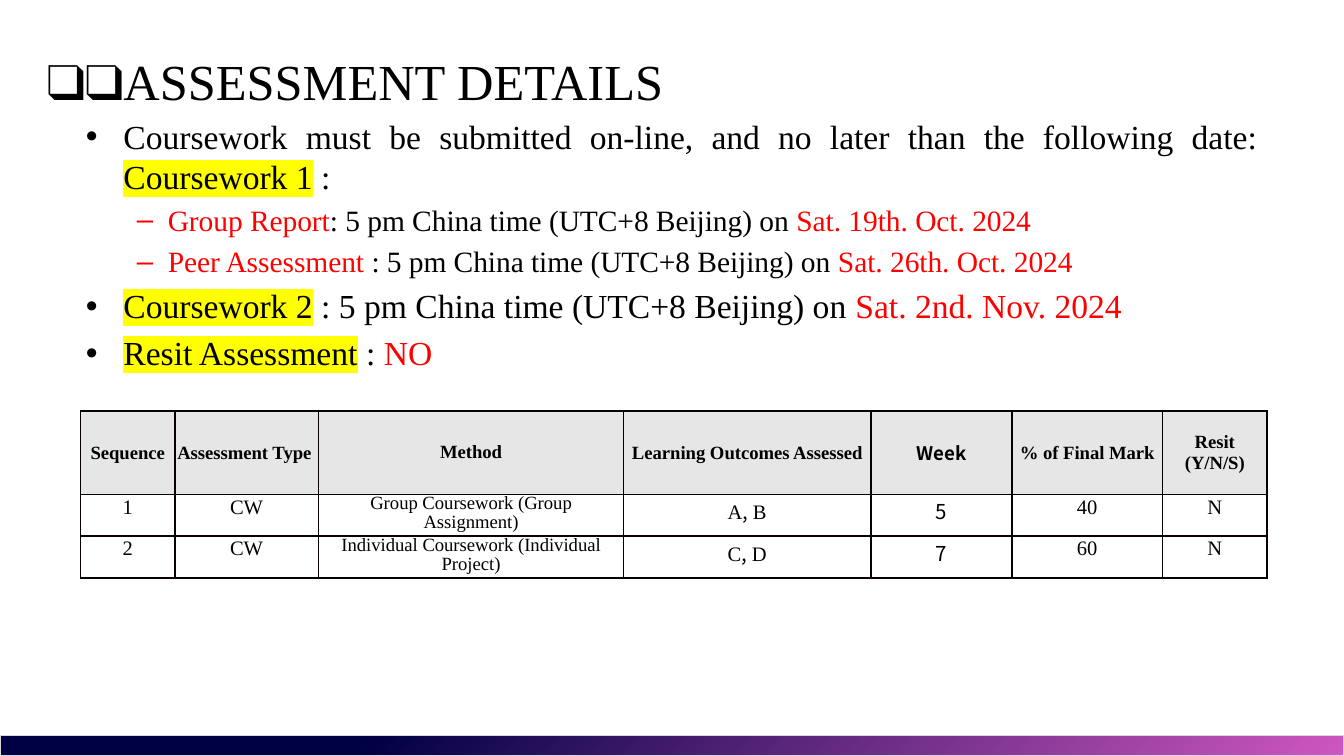
from lxml.etree import SubElement
from pptx import Presentation
from pptx.dml.color import RGBColor
from pptx.enum.shapes import MSO_SHAPE
from pptx.enum.text import MSO_ANCHOR, PP_ALIGN
from pptx.oxml import parse_xml
from pptx.oxml.ns import nsdecls, qn
from pptx.util import Inches, Pt

SERIF = "Times New Roman"
SANS = "Noto Sans CJK SC"
HUES = {
    "ink": "000000",
    "red": "FF0000",
    "mark": "FFFF00",
    "head": "E7E6E6",
    "rule": "080000",
    "navy": "000044",
    "pink": "CE57C1",
    "edge": "D8D8D8",
}
TIME = "5 pm China time (UTC+8 Beijing) on "

# Each point: level, then runs of (text, colour, highlighted)
POINTS = [
    (0, [("Coursework must be submitted on-line, and no later than "
          "the following date: ", "ink", False),
         ("Coursework 1", "ink", True), (" : ", "ink", False)]),
    (1, [("Group Report", "red", False), (": " + TIME, "ink", False),
         ("Sat. 19th. Oct. 2024", "red", False)]),
    (1, [("Peer Assessment", "red", False), (" : " + TIME, "ink", False),
         ("Sat. 26th. Oct. 2024", "red", False)]),
    (0, [("Coursework 2", "ink", True), (" : " + TIME, "ink", False),
         ("Sat. 2nd. Nov. 2024", "red", False)]),
    (0, [("Resit Assessment", "ink", True), (" : ", "ink", False),
         ("NO", "red", False)]),
]
# Level: bullet, left indent, hanging indent, text size, space before
LEVELS = [("•", 0.28, 0.28, 18, 3.6), ("–", 0.61, 0.23, 15.75, 3.2)]

ROWS = [
    ["Sequence", "Assessment Type ", "Method", "Learning Outcomes Assessed",
     "Week", "% of Final Mark", "Resit (Y/N/S)"],
    ["1", "CW", "Group Coursework (Group Assignment)", "A, B", "5", "40", "N"],
    ["2", "CW", "Individual Coursework (Individual Project)", "C, D", "7",
     "60", "N"],
]
WIDTHS = [0.7, 1.07, 2.27, 1.84, 1.05, 1.12, 0.78]
HEIGHTS = [0.62, 0.3, 0.3]
METHOD, GOALS, WEEK = 2, 3, 4


def tint(name):
    return RGBColor.from_string(HUES[name])


def style(run, size, hue="ink", face=SERIF, bold=False):
    font = run.font
    font.size, font.name, font.bold = Pt(size), face, bold
    font.color.rgb = tint(hue)


def mark(run):
    """Highlight a run whose colour is already set."""
    light = parse_xml(f'<a:highlight {nsdecls("a")}>'
                      f'<a:srgbClr val="{HUES["mark"]}"/></a:highlight>')
    run.font._element.find(qn("a:solidFill")).addnext(light)


def add_bar(slide):
    bar = slide.shapes.add_shape(MSO_SHAPE.RECTANGLE, Inches(0), Inches(5.47),
                                 Inches(10), Inches(0.15))
    bar.rotation = 180
    bar.shadow.inherit = False
    bar.fill.gradient()
    bar.fill.gradient_angle = 135
    stops = [(0.27, "navy"), (1, "pink")]
    for stop, (place, hue) in zip(bar.fill.gradient_stops, stops):
        stop.position = place
        stop.color.rgb = tint(hue)
    bar.line.color.rgb = tint("edge")
    bar.line.width = Pt(0.75)


def add_box(slide, *place):
    box = slide.shapes.add_textbox(*map(Inches, place))
    box.text_frame.word_wrap = True
    return box.text_frame


def add_title(slide):
    frame = add_box(slide, 0.25, 0.23, 8.25, 0.74)
    frame.vertical_anchor = MSO_ANCHOR.MIDDLE
    frame.text = "❑❑ASSESSMENT DETAILS"
    style(frame.paragraphs[0].runs[0], 27)


def add_points(slide):
    frame = add_box(slide, 0.54, 0.81, 8.92, 1.92)
    for i, (level, parts) in enumerate(POINTS):
        para = frame.add_paragraph() if i else frame.paragraphs[0]
        sign, left, hang, size, gap = LEVELS[level]
        props = para._p.get_or_add_pPr()
        props.set("marL", str(Inches(left)))
        props.set("indent", str(-Inches(hang)))
        SubElement(props, qn("a:buFont"), typeface="Arial")
        SubElement(props, qn("a:buChar"), char=sign)
        para.level = level
        para.alignment = PP_ALIGN.JUSTIFY
        if i:
            para.space_before = Pt(gap)
        for text, hue, lit in parts:
            run = para.add_run()
            run.text = text
            style(run, size, hue)
            if lit:
                mark(run)


def add_rules(cell):
    """Draw the four borders of a cell."""
    props = cell._tc.get_or_add_tcPr()
    for side in "LRTB":
        rule = SubElement(props, qn(f"a:ln{side}"), w=str(Pt(1)))
        fill = SubElement(rule, qn("a:solidFill"))
        SubElement(fill, qn("a:srgbClr"), val=HUES["rule"])


def fill_cell(cell, text, row, col):
    head = row == 0
    wide = col == METHOD
    add_rules(cell)
    if head:
        cell.fill.solid()
        cell.fill.fore_color.rgb = tint("head")
    else:
        cell.fill.background()
    cell.vertical_anchor = MSO_ANCHOR.MIDDLE if head else MSO_ANCHOR.TOP
    cell.margin_left = cell.margin_right = Inches(0.07 if wide else 0.01)
    cell.margin_top = cell.margin_bottom = Inches(0 if wide else 0.01)
    para = cell.text_frame.paragraphs[0]
    para.alignment = PP_ALIGN.CENTER
    if wide:
        para.line_spacing = 0.93
    parts = text.partition(", ") if col == GOALS and not head else [text]
    for part in parts:
        run = para.add_run()
        run.text = part
        face = SANS if col == WEEK or part == ", " else SERIF
        style(run, 10 if head or wide else 11, face=face, bold=head)


def add_grid(slide):
    frame = slide.shapes.add_table(
        len(ROWS), len(WIDTHS), Inches(0.6), Inches(3.06),
        Inches(sum(WIDTHS)), Inches(sum(HEIGHTS)))
    table = frame.table
    table.first_row = table.horz_banding = False
    for column, width in zip(table.columns, WIDTHS):
        column.width = Inches(width)
    for r, texts in enumerate(ROWS):
        table.rows[r].height = Inches(HEIGHTS[r])
        for c, text in enumerate(texts):
            fill_cell(table.cell(r, c), text, r, c)


def main():
    deck = Presentation()
    deck.slide_width = Inches(10)
    deck.slide_height = deck.slide_width * 9 // 16
    slide = deck.slides.add_slide(deck.slide_layouts[6])
    add_bar(slide)
    add_title(slide)
    add_points(slide)
    add_grid(slide)
    deck.save("out.pptx")


if __name__ == "__main__":
    main()
